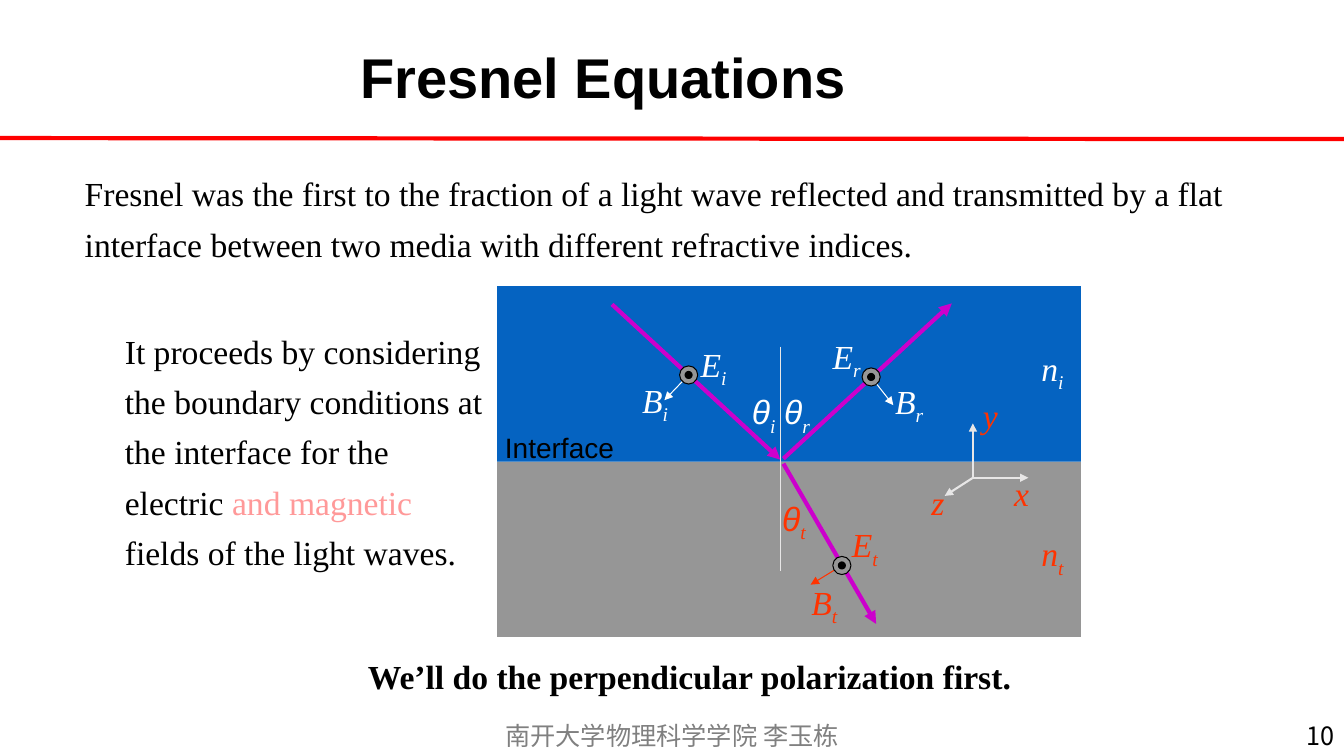
from dataclasses import dataclass

from lxml.etree import SubElement
from pptx import Presentation
from pptx.dml.color import RGBColor
from pptx.enum.shapes import MSO_CONNECTOR as Connector, MSO_SHAPE as Preset
from pptx.enum.text import MSO_ANCHOR as Anchor, MSO_AUTO_SIZE as AutoSize, PP_ALIGN as Align
from pptx.oxml.ns import qn
from pptx.util import Inches, Pt


@dataclass(frozen=True)
class Theme:
    """Colours, fonts and type sizes of the slide."""
    black: str = "000000"
    white: str = "FFFFFF"
    footer: str = "808080"
    rule: str = "FF0000"
    pink: str = "FF9999"
    blue: str = "0563C1"
    gray: str = "969696"
    pale: str = "E7E6E6"
    ray: str = "CC00CC"
    orange: str = "FF3300"
    sans: str = "Arial"
    serif: str = "Times New Roman"
    chinese: str = "Noto Sans CJK SC"
    title_size: int = 40
    body_size: int = 24
    label_size: int = 20
    footer_size: int = 18


THEME = Theme()


def style(paragraph, font=THEME.serif, size=THEME.body_size, color=THEME.black,
          bold=False, italic=False):
    """Set the font of a whole paragraph."""
    paragraph.font.name = font
    paragraph.font.size = Pt(size)
    paragraph.font.bold = bold
    paragraph.font.italic = italic
    paragraph.font.color.rgb = RGBColor.from_string(color)
    if font == THEME.chinese:
        SubElement(paragraph.font._element, qn("a:ea"), typeface=font)


def place(shape, box):
    """Move a shape to a box of left, top, width and height in inches."""
    shape.left, shape.top, shape.width, shape.height = map(Inches, box)


def add_text(shapes, box, text, align=Align.LEFT, wrap=False, **font):
    """Add a one-paragraph text box and return its paragraph."""
    frame = shapes.add_textbox(*map(Inches, box)).text_frame
    frame.word_wrap = wrap
    paragraph = frame.paragraphs[0]
    paragraph.alignment = align
    style(paragraph, **font)
    if text:
        paragraph.add_run().text = text
    return paragraph


def add_line(shapes, start, end, color, width, arrow=False):
    """Add a straight line, with an arrowhead at its end if asked."""
    line = shapes.add_connector(Connector.STRAIGHT, *map(Inches, (*start, *end)))
    line.line.color.rgb = RGBColor.from_string(color)
    line.line.width = Pt(width)
    if arrow:
        SubElement(line.line._get_or_add_ln(), qn("a:tailEnd"), type="triangle")
    SubElement(line._element.spPr, qn("a:effectLst"))


def add_area(shapes, preset, box, fill, outline=None):
    """Add a filled shape with an optional thin outline."""
    shape = shapes.add_shape(preset, *map(Inches, box))
    shape.shadow.inherit = False
    shape.fill.solid()
    shape.fill.fore_color.rgb = RGBColor.from_string(fill)
    if outline:
        shape.line.color.rgb = RGBColor.from_string(outline)
        shape.line.width = Pt(0.75)
    else:
        shape.line.fill.background()


def add_symbol(shapes, left, top, name, subscript, color):
    """Add an italic symbol with an optional subscript."""
    width = 0.6 if subscript else 0.4
    paragraph = add_text(shapes, (left, top, width, 0.5), "", color=color, italic=True)
    main = paragraph.add_run()
    main.text = name
    if name == "θ":
        main.font.name = THEME.sans
    if subscript:
        lower = paragraph.add_run()
        lower.text = subscript
        lower._r.get_or_add_rPr().set("baseline", "-25000")


def add_field(shapes, center, tip, color):
    """Add a magnetic field arrow and the dot of an electric field facing the viewer."""
    add_line(shapes, center, tip, color, 0.75, arrow=True)
    for size, fill in ((0.18, THEME.gray), (0.07, THEME.black)):
        box = (center[0] - size / 2, center[1] - size / 2, size, size)
        add_area(shapes, Preset.OVAL, box, fill, THEME.black)


def build_header(slide, box):
    """Fill the title and draw the red rule below it."""
    left, top, width, height = box
    title = slide.shapes.title
    place(title, (left + 1.73, top + 0.38, 8.5, 0.83))
    frame = title.text_frame
    frame.auto_size = AutoSize.NONE
    frame.vertical_anchor = Anchor.MIDDLE
    frame.text = "Fresnel Equations"
    paragraph = frame.paragraphs[0]
    paragraph.alignment = Align.CENTER
    paragraph.line_spacing = 0.9
    style(paragraph, font=THEME.sans, size=THEME.title_size, bold=True)
    bottom = top + height
    add_line(slide.shapes, (left, bottom - 0.01), (left + width, bottom), THEME.rule, 3)


def build_introduction(slide, box):
    """Fill the body placeholder with the opening sentence."""
    body = slide.placeholders[1]
    place(body, box)
    frame = body.text_frame
    frame.auto_size = AutoSize.NONE
    frame.text = ("Fresnel was the first to the fraction of a light wave reflected and "
                  "transmitted by a flat interface between two media with different "
                  "refractive indices.")
    paragraph = frame.paragraphs[0]
    paragraph.line_spacing = 1.25
    paragraph.space_before = Pt(0)
    properties = paragraph._p.get_or_add_pPr()
    properties.set("marL", "0")
    properties.set("indent", "0")
    SubElement(properties, qn("a:buNone"))
    style(paragraph)


def build_explanation(slide, box):
    """Add the note on boundary conditions beside the diagram."""
    paragraph = add_text(slide.shapes, box, "", wrap=True)
    paragraph.line_spacing = 1.25
    for text, color in (
            ("It proceeds by considering the boundary conditions at the interface "
             "for the electric ", THEME.black),
            ("and magnetic", THEME.pink),
            (" fields of the light waves.", THEME.black)):
        run = paragraph.add_run()
        run.text = text
        run.font.color.rgb = RGBColor.from_string(color)


def build_diagram(slide, box):
    """Draw the rays, fields and axes at the interface of two media."""
    left, top, width, height = box
    shapes = slide.shapes.add_group_shape().shapes
    half = height / 2

    def at(x, y):
        return left + x, top + y

    add_area(shapes, Preset.RECTANGLE, (*at(0, half), width, half), THEME.gray)
    add_area(shapes, Preset.RECTANGLE, (*at(0, 0), width, half), THEME.blue)

    for start, end in (((1.14, 0.18), (2.81, 1.72)),
                       ((2.84, 1.71), (4.51, 0.17)),
                       ((2.84, 1.76), (3.76, 3.35))):
        add_line(shapes, at(*start), at(*end), THEME.ray, 3, arrow=True)
    add_line(shapes, at(2.81, 0.6), at(2.81, 2.82), THEME.pale, 0.75)

    for center, tip, color in (((1.9, 0.88), (1.66, 1.13), THEME.white),
                               ((3.71, 0.9), (3.93, 1.18), THEME.white),
                               ((3.42, 2.77), (3.11, 2.96), THEME.orange)):
        add_field(shapes, at(*center), at(*tip), color)

    for tip in ((4.72, 1.36), (4.44, 2.08), (5.27, 1.9)):
        add_line(shapes, at(4.72, 1.9), at(*tip), THEME.pale, 1.5, arrow=True)

    upper = (("n", "i", 5.3, 0.56), ("θ", "i", 2.43, 0.99), ("θ", "r", 2.75, 0.99),
             ("E", "i", 1.92, 0.52), ("B", "i", 1.34, 0.88),
             ("E", "r", 3.23, 0.44), ("B", "r", 3.85, 0.89))
    lower = (("n", "t", 5.3, 2.4), ("θ", "t", 2.73, 2.05),
             ("E", "t", 3.42, 2.31), ("B", "t", 3.02, 2.88),
             ("x", "", 5.03, 1.8), ("y", "", 4.72, 1.03), ("z", "", 4.21, 1.89))
    for symbols, color in ((upper, THEME.white), (lower, THEME.orange)):
        for name, subscript, x, y in symbols:
            add_symbol(shapes, *at(x, y), name, subscript, color)
    add_text(shapes, (*at(-0.02, 1.38), 1.4, 0.43), "Interface",
             font=THEME.sans, size=THEME.label_size)


def build_footer(slide, box):
    """Add the centred footer and the slide number at the right."""
    left, top, width, height = box
    font = {"font": THEME.chinese, "size": THEME.footer_size}
    add_text(slide.shapes, (left + (width - 3.61) / 2, top, 3.61, height),
             "南开大学物理科学学院 李玉栋", Align.CENTER, color=THEME.footer, **font)
    add_text(slide.shapes, (left + width - 3, top, 3, height), "10",
             Align.RIGHT, wrap=True, **font)


def main():
    """Build the slide and save it."""
    presentation = Presentation()
    presentation.slide_width, presentation.slide_height = Inches(13.33), Inches(7.5)
    slide = presentation.slides.add_slide(presentation.slide_layouts[1])
    build_header(slide, (0, 0, 13.33, 1.38))
    build_introduction(slide, (0.74, 1.57, 11.81, 1.56))
    build_diagram(slide, (4.93, 2.84, 5.79, 3.48))
    build_explanation(slide, (1.14, 3.13, 3.8, 2.58))
    add_text(slide.shapes, (3.55, 6.46, 6.64, 0.5),
             "We’ll do the perpendicular polarization first.", bold=True)
    build_footer(slide, (0, 7.1, 13.33, 0.4))
    presentation.save("out.pptx")


if __name__ == "__main__":
    main()
